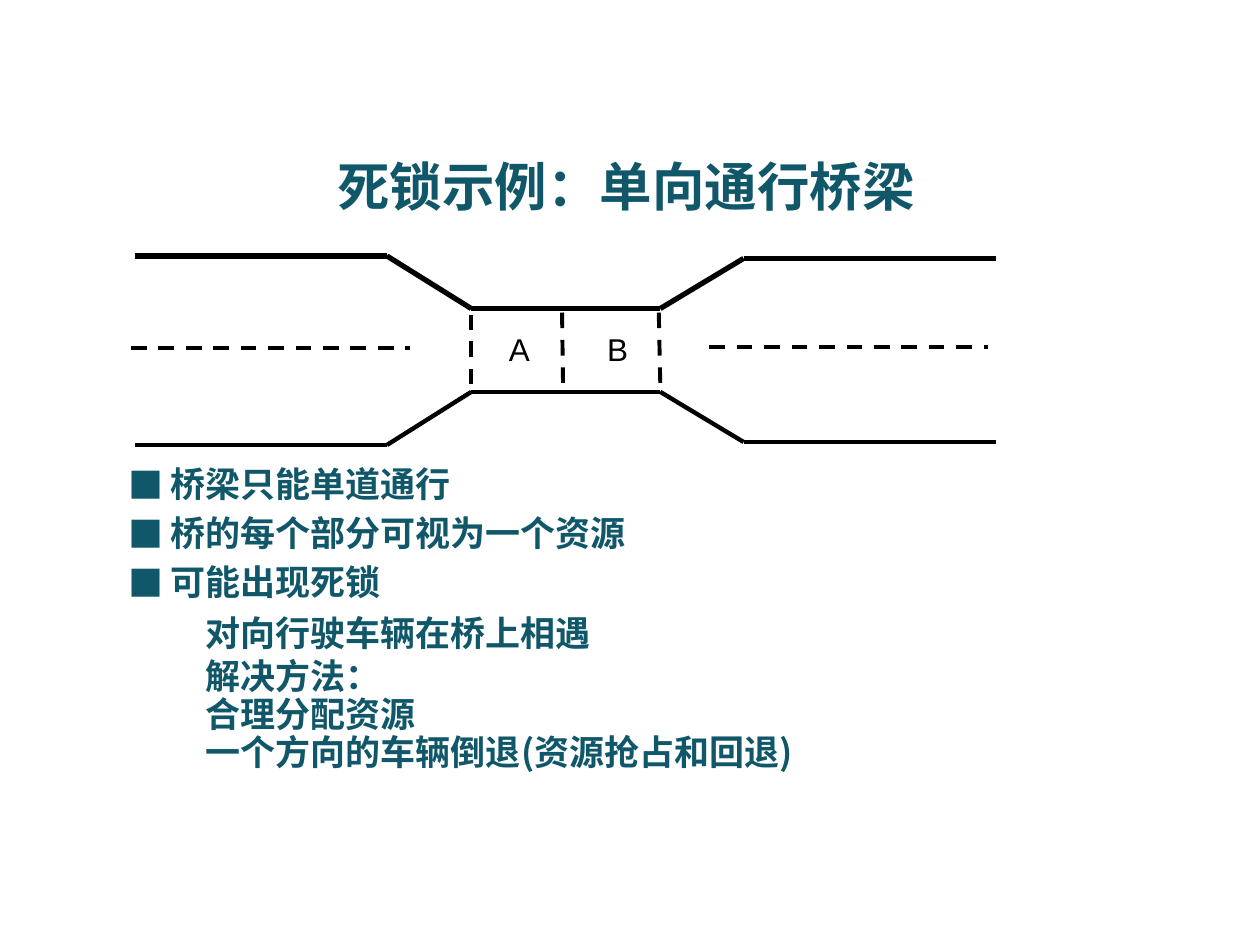
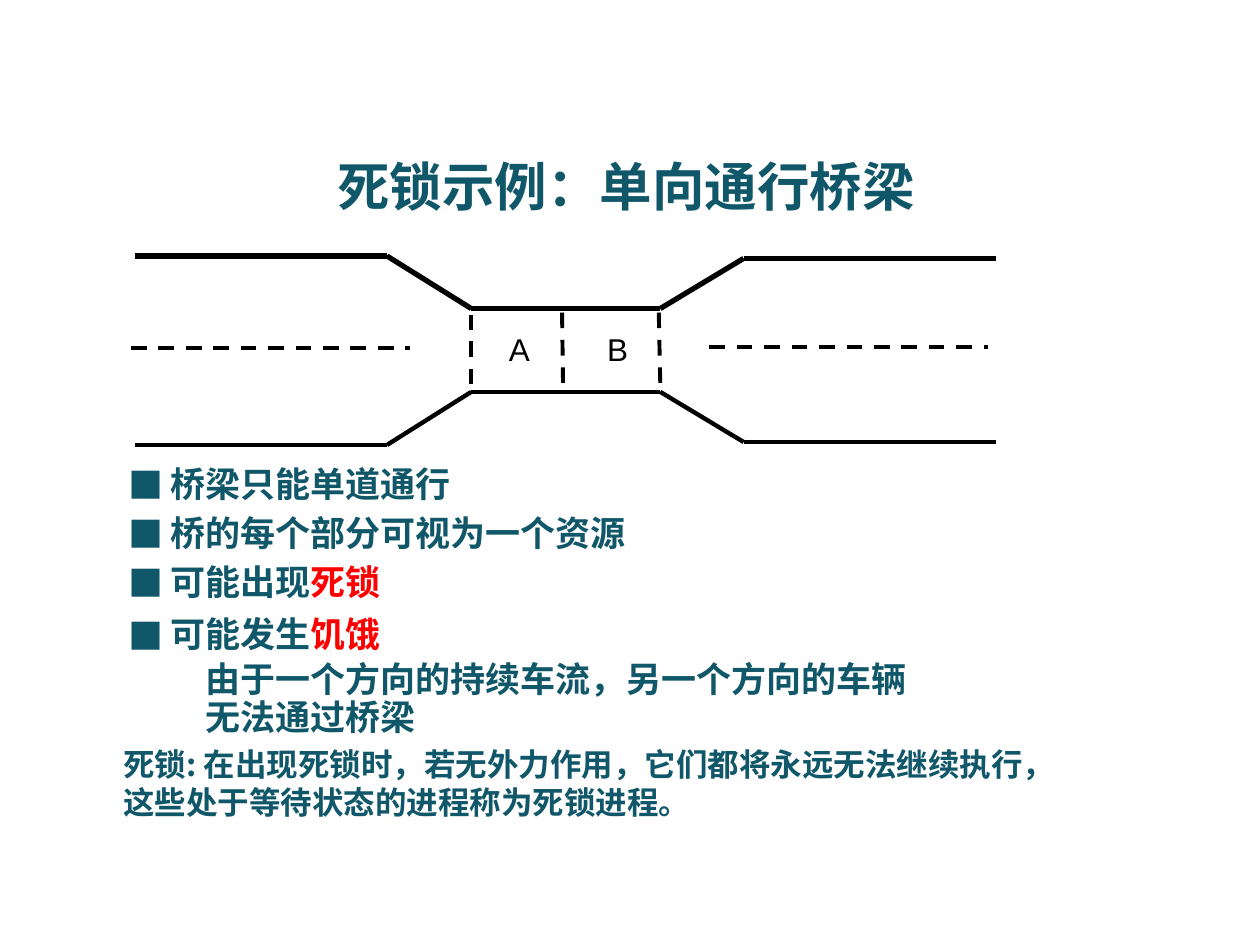
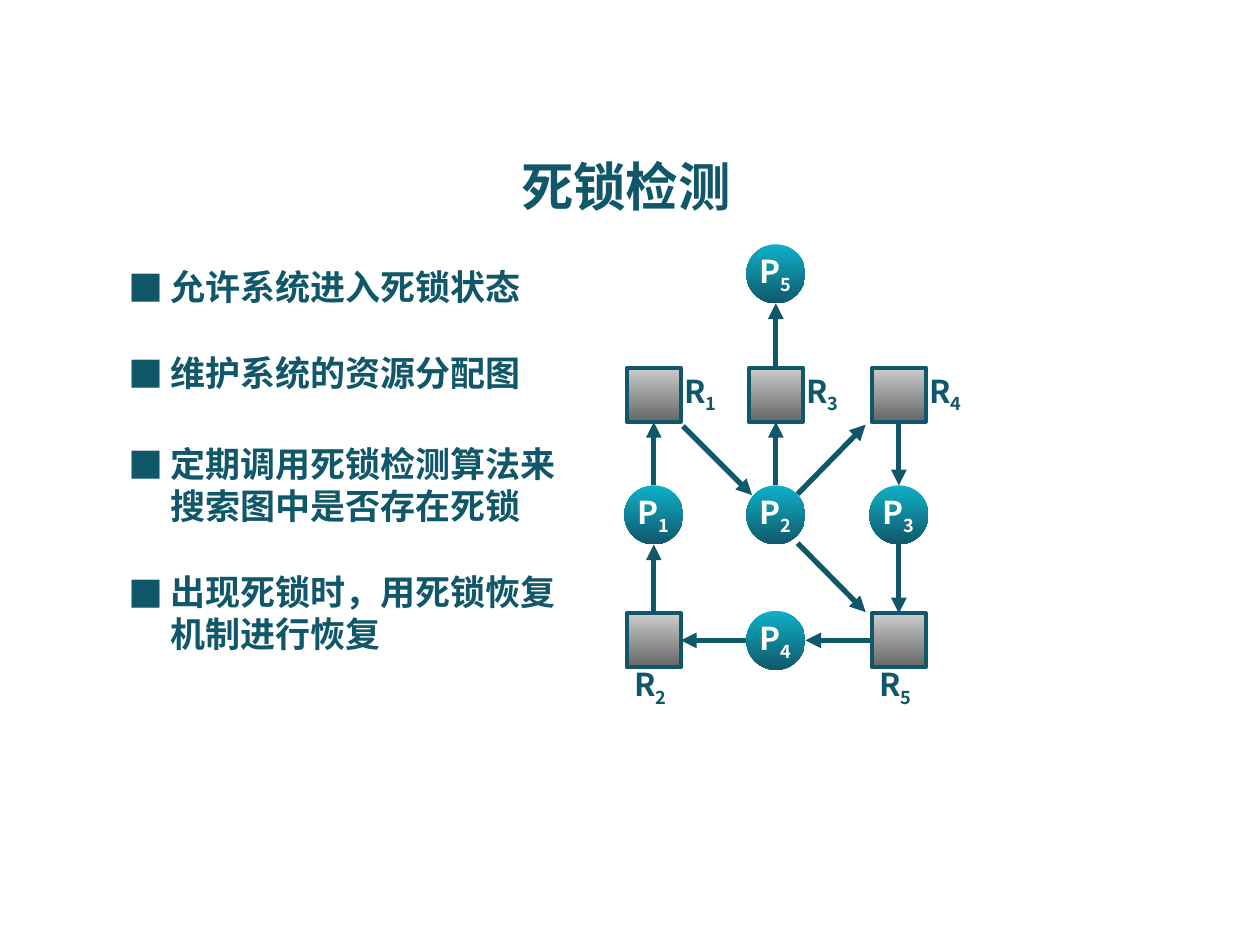
from dataclasses import dataclass
from itertools import pairwise

from lxml import etree
from pptx import Presentation
from pptx import util as u
from pptx.dml import color as c
from pptx.enum import dml, shapes, text as t
from pptx.oxml import ns

COLORS = {
    "teal": "11576A",
    "aqua": "0EB1C8",
    "red": "FF0000",
    "black": "000000",
    "white": "FFFFFF",
    "silver": "CCCCCC",
    "gray": "666666",
}
CJK_FONT = "Noto Sans CJK SC"
BULLET_FONT = "Noto Sans CJK JP"
TOP, LEFT, BOTTOM, RIGHT = range(4)
Point = tuple[float, float]


@dataclass(frozen=True)
class Item:
    text: str
    before: float = 4
    highlight: str = ""
    level: int = 0


@dataclass(frozen=True)
class Stroke:
    points: tuple[Point, ...]
    width: float
    dashed: bool = False


@dataclass(frozen=True)
class Node:
    kind: str
    number: str
    x: float
    y: float
    label_offset: Point = (0, 0)

    @property
    def size(self) -> float:
        return 1.19 if self.kind == "P" else 1.09

    def side(self, index: int) -> Point:
        half = self.size / 2
        dx, dy = ((0, -half), (-half, 0), (0, half), (half, 0))[index]
        return self.x + dx, self.y + dy


@dataclass(frozen=True)
class Arrow:
    source: str
    source_side: int
    target: str
    target_side: int


BRIDGE = (
    Stroke(((2.72, 5.16), (7.8, 5.16), (9.5, 6.22), (13.31, 6.22), (14.99, 5.21), (20.07, 5.21)), 3),
    Stroke(((2.72, 8.97), (7.8, 8.97), (9.5, 7.9), (13.31, 7.9), (14.99, 8.91), (20.07, 8.91)), 2.5),
    Stroke(((2.64, 7.01), (8.26, 7.01)), 2.25, True),
    Stroke(((14.3, 6.99), (19.91, 6.99)), 2.25, True),
    Stroke(((9.5, 7.75), (9.5, 6.35)), 2.25, True),
    Stroke(((13.31, 7.72), (13.28, 6.3)), 2.25, True),
    Stroke(((11.35, 7.72), (11.33, 6.3)), 2.25, True),
)
SECTIONS = (("A", 10.01), ("B", 11.99))

COLUMNS = (13.18, 15.64, 18.12)
ROWS = (5.52, 7.96, 10.38, 12.91)
BESIDE, BELOW = (0.36, -0.54), (-0.64, 0.43)
NODES = {
    "P1": Node("P", "1", COLUMNS[0], ROWS[2]),
    "P2": Node("P", "2", COLUMNS[1], ROWS[2]),
    "P3": Node("P", "3", COLUMNS[2], ROWS[2]),
    "P4": Node("P", "4", COLUMNS[1], ROWS[3]),
    "P5": Node("P", "5", COLUMNS[1], ROWS[0]),
    "R1": Node("R", "1", COLUMNS[0], ROWS[1], BESIDE),
    "R2": Node("R", "2", COLUMNS[0], ROWS[3], BELOW),
    "R3": Node("R", "3", COLUMNS[1], ROWS[1], BESIDE),
    "R4": Node("R", "4", COLUMNS[2], ROWS[1], BESIDE),
    "R5": Node("R", "5", COLUMNS[2], ROWS[3], BELOW),
}
ARROWS = (
    Arrow("R2", TOP, "P1", BOTTOM),
    Arrow("P1", TOP, "R1", BOTTOM),
    Arrow("R4", BOTTOM, "P3", TOP),
    Arrow("P3", BOTTOM, "R5", TOP),
    Arrow("P2", TOP, "R3", BOTTOM),
    Arrow("R3", TOP, "P5", BOTTOM),
    Arrow("R5", LEFT, "P4", RIGHT),
    Arrow("P4", LEFT, "R2", RIGHT),
)
DIAGONALS = (
    ((13.77, 8.59), (15.16, 9.98)),
    ((16.08, 10.95), (17.45, 12.34)),
    ((16.08, 9.96), (17.45, 8.56)),
)

BRIDGE_ITEMS = (Item("桥梁只能单道通行", 0), Item("桥的每个部分可视为一个资源"))
MEETING_ITEMS = BRIDGE_ITEMS + (
    Item("可能出现死锁"),
    Item("对向行驶车辆在桥上相遇", 7.5, level=1),
    Item("解决方法：", 3.5, level=1),
    Item("合理分配资源", 0, level=1),
    Item("一个方向的车辆倒退(资源抢占和回退)", 0, level=1),
)
STARVATION_ITEMS = BRIDGE_ITEMS + (
    Item("可能出现", highlight="死锁"),
    Item("可能发生", 6, highlight="饥饿"),
    Item("由于一个方向的持续车流，另一个方向的车辆无法通过桥梁", 4, level=1),
)
DETECTION_ITEMS = (
    Item("允许系统进入死锁状态", 0),
    Item("维护系统的资源分配图", 25),
    Item("定期调用死锁检测算法来搜索图中是否存在死锁", 28),
    Item("出现死锁时，用死锁恢复机制进行恢复", 25.5),
)
DEFINITION = (
    "死锁: 在出现死锁时，若无外力作用，它们都将永远无法继续执行，",
    "这些处于等待状态的进程称为死锁进程。",
)


def rgb(name: str) -> c.RGBColor:
    return c.RGBColor.from_string(COLORS[name])


def add_element(parent, tag: str, **attributes: str):
    element = etree.SubElement(parent, ns.qn(tag))
    for name, value in attributes.items():
        element.set(name, value)
    return element


def write(paragraph, text: str, *, size: float = 20, color: str = "teal",
          bold: bool = True, font: str = CJK_FONT, baseline: int = 0) -> None:
    run = paragraph.add_run()
    run.text = text
    run.font.size = u.Pt(size)
    run.font.bold = bold
    run.font.name = font
    run.font.color.rgb = rgb(color)
    properties = run._r.get_or_add_rPr()
    add_element(properties, "a:ea", typeface=font)
    if baseline:
        properties.set("baseline", str(baseline * 1000))


def write_node_name(paragraph, node: Node, color: str) -> None:
    write(paragraph, node.kind, size=18, color=color)
    write(paragraph, node.number, size=18, color=color, baseline=-25)


def place(shape, left: float, top: float, width: float, height: float) -> None:
    shape.left, shape.top = u.Cm(left), u.Cm(top)
    shape.width, shape.height = u.Cm(width), u.Cm(height)


def clear_margins(frame) -> None:
    frame.margin_left = frame.margin_right = frame.margin_top = frame.margin_bottom = 0


def add_text_box(slide, left: float, top: float, width: float, height: float, wrap: bool = False):
    box = slide.shapes.add_textbox(u.Cm(left), u.Cm(top), u.Cm(width), u.Cm(height))
    box.text_frame.word_wrap = wrap
    return box.text_frame


def add_titled_slide(presentation, title: str):
    slide = presentation.slides.add_slide(presentation.slide_layouts[1])
    shape = slide.shapes.title
    place(shape, 1.19, 3.02, 22.86, 1.42)
    frame = shape.text_frame
    clear_margins(frame)
    frame.auto_size = t.MSO_AUTO_SIZE.NONE
    frame.vertical_anchor = t.MSO_ANCHOR.MIDDLE
    frame.paragraphs[0].alignment = t.PP_ALIGN.CENTER
    write(frame.paragraphs[0], title, size=30)
    return slide


def format_bullet(paragraph, level: int) -> None:
    paragraph.level = level
    properties = paragraph._p.get_or_add_pPr()
    if level:
        properties.set("marL", str(u.Cm(1.55)))
        properties.set("indent", "0")
        add_element(properties, "a:buNone")
        return
    properties.set("marL", str(u.Cm(0.84)))
    properties.set("indent", str(-u.Cm(0.84)))
    add_element(add_element(properties, "a:buClr"), "a:srgbClr", val=COLORS["teal"])
    add_element(properties, "a:buFont", typeface=BULLET_FONT)
    add_element(properties, "a:buChar", char="■")


def fill_list(slide, items: tuple[Item, ...], top: float, width: float, height: float) -> None:
    body = slide.placeholders[1]
    place(body, 2.59, top, width, height)
    frame = body.text_frame
    clear_margins(frame)
    frame.word_wrap = True
    frame.auto_size = t.MSO_AUTO_SIZE.NONE
    frame.vertical_anchor = t.MSO_ANCHOR.TOP
    for index, item in enumerate(items):
        paragraph = frame.add_paragraph() if index else frame.paragraphs[0]
        format_bullet(paragraph, item.level)
        paragraph.line_spacing = u.Pt(21.5 if item.level else 24)
        paragraph.space_before = u.Pt(item.before)
        write(paragraph, item.text)
        if item.highlight:
            write(paragraph, item.highlight, color="red")


def add_line(slide, start: Point, end: Point, *, color: str, width: float,
             dashed: bool = False, arrow: bool = False):
    line = slide.shapes.add_connector(
        shapes.MSO_CONNECTOR.STRAIGHT, *(u.Cm(value) for value in start + end))
    line.line.color.rgb = rgb(color)
    line.line.width = u.Pt(width)
    if dashed:
        line.line.dash_style = dml.MSO_LINE.DASH
    if arrow:
        add_element(line.line._get_or_add_ln(), "a:tailEnd", type="triangle")
    add_element(line._element.spPr, "a:effectLst")
    return line


def draw_bridge(slide) -> None:
    for stroke in BRIDGE:
        for start, end in pairwise(stroke.points):
            add_line(slide, start, end, color="black", width=stroke.width, dashed=stroke.dashed)
    for name, left in SECTIONS:
        frame = add_text_box(slide, left, 6.53, 0.94, 1.02)
        write(frame.paragraphs[0], name, size=18, color="black", bold=False, font="Arial")


def draw_node(slide, node: Node):
    is_process = node.kind == "P"
    preset = shapes.MSO_SHAPE.OVAL if is_process else shapes.MSO_SHAPE.RECTANGLE
    left, top = node.x - node.size / 2, node.y - node.size / 2
    shape = slide.shapes.add_shape(
        preset, u.Cm(left), u.Cm(top), u.Cm(node.size), u.Cm(node.size))
    shape.shadow.inherit = False
    shape.fill.gradient()
    shape.fill.gradient_angle = 270
    gradient = ("aqua", "teal") if is_process else ("silver", "gray")
    for position, (stop, color) in enumerate(zip(shape.fill.gradient_stops, gradient)):
        stop.position = position
        stop.color.rgb = rgb(color)
    if is_process:
        shape.line.fill.background()
        frame = shape.text_frame
        clear_margins(frame)
        frame.word_wrap = False
        frame.vertical_anchor = t.MSO_ANCHOR.MIDDLE
        frame.paragraphs[0].alignment = t.PP_ALIGN.CENTER
        write_node_name(frame.paragraphs[0], node, "white")
    else:
        shape.line.color.rgb = rgb("teal")
        shape.line.width = u.Pt(2.25)
        dx, dy = node.label_offset
        paragraph = add_text_box(slide, node.x + dx, node.y + dy, 1.22, 1.02).paragraphs[0]
        paragraph.line_spacing = u.Pt(23)
        write_node_name(paragraph, node, "teal")
    return shape


def draw_allocation_graph(slide) -> None:
    drawn = {name: draw_node(slide, node) for name, node in NODES.items()}
    for arrow in ARROWS:
        source, target = NODES[arrow.source], NODES[arrow.target]
        line = add_line(slide, source.side(arrow.source_side), target.side(arrow.target_side),
                        color="teal", width=3, arrow=True)
        if source.kind == "R":
            line.begin_connect(drawn[arrow.source], arrow.source_side)
        if target.kind == "R":
            line.end_connect(drawn[arrow.target], arrow.target_side)
    for start, end in DIAGONALS:
        add_line(slide, start, end, color="teal", width=3, arrow=True)


def add_definition(slide) -> None:
    frame = add_text_box(slide, 2.24, 14.9, 22, 1.8, wrap=True)
    for index, sentence in enumerate(DEFINITION):
        paragraph = frame.add_paragraph() if index else frame.paragraphs[0]
        paragraph.line_spacing = u.Pt(21.5)
        write(paragraph, sentence, size=18)


def main() -> None:
    presentation = Presentation()
    presentation.slide_width, presentation.slide_height = u.Cm(25.4), u.Cm(19.05)

    for items in (MEETING_ITEMS, STARVATION_ITEMS):
        slide = add_titled_slide(presentation, "死锁示例：单向通行桥梁")
        fill_list(slide, items, 9.32, 15.95, 6.3 if items is MEETING_ITEMS else 5.5)
        draw_bridge(slide)
    add_definition(slide)

    slide = add_titled_slide(presentation, "死锁检测")
    fill_list(slide, DETECTION_ITEMS, 5.35, 8.97, 8.2)
    draw_allocation_graph(slide)

    presentation.save("out.pptx")


if __name__ == "__main__":
    main()
